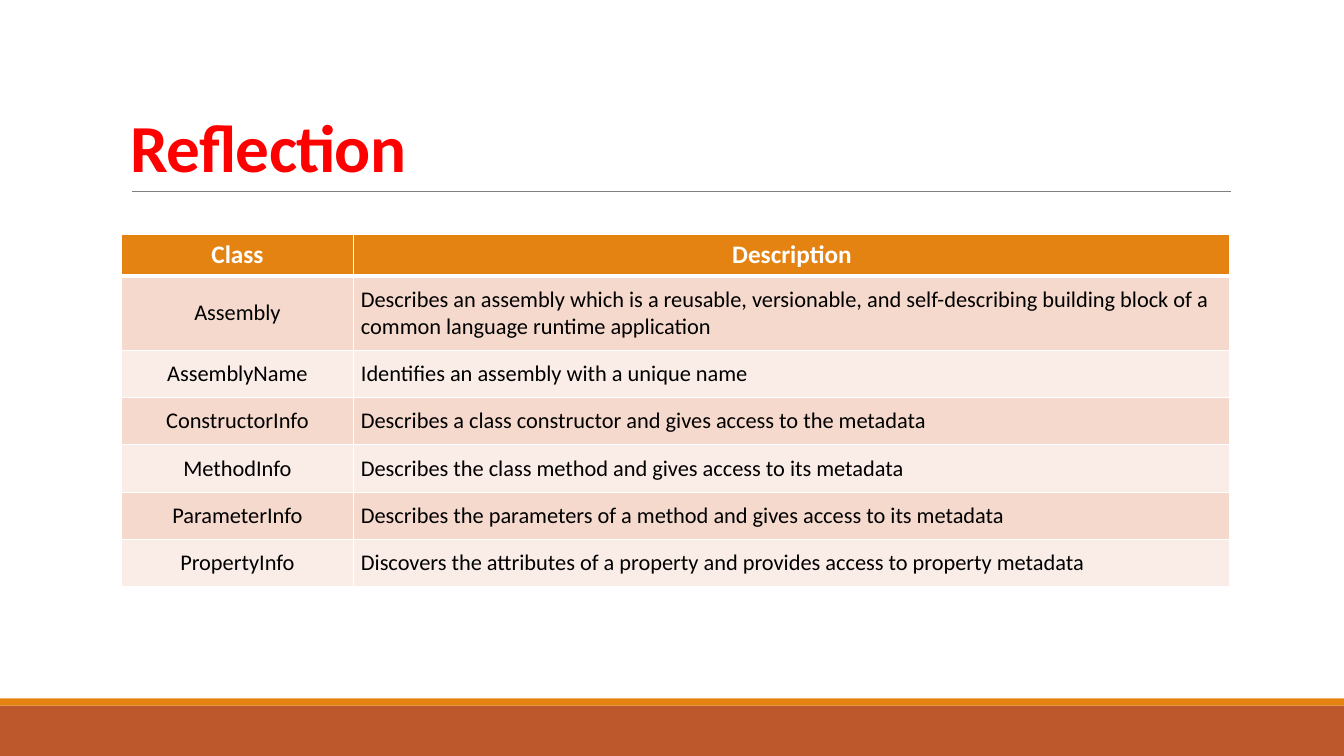
from lxml import etree
from pptx import Presentation
from pptx.dml.color import RGBColor
from pptx.enum.shapes import MSO_CONNECTOR as CONNECTOR, MSO_SHAPE as SHAPE
from pptx.enum.text import MSO_ANCHOR as ANCHOR, PP_ALIGN as ALIGN
from pptx.oxml.ns import qn
from pptx.util import Inches, Pt

FONT = "Calibri"
COLORS = {
    "rust": "BD582C", "orange": "E48312", "gray": "808080", "red": "FF0000",
    "white": "FFFFFF", "black": "000000", "band_dark": "F5D9CC", "band_light": "FAEDE7",
}
HEADER = ("Class", "Description")
CLASSES = [
    ("Assembly", "Describes an assembly which is a reusable, versionable, and "
                 "self-describing building block of a common language runtime application"),
    ("AssemblyName", "Identifies an assembly with a unique name"),
    ("ConstructorInfo", "Describes a class constructor and gives access to the metadata"),
    ("MethodInfo", "Describes the class method and gives access to its metadata"),
    ("ParameterInfo", "Describes the parameters of a method and gives access to its metadata"),
    ("PropertyInfo", "Discovers the attributes of a property and provides access to property metadata"),
]


def color(name):
    return RGBColor.from_string(COLORS[name])


def style_font(para, size, color_name, bold=False):
    font = para.font
    font.name, font.size, font.bold = FONT, Pt(size), bold
    font.color.rgb = color(color_name)


def add_band(page, top, height, color_name):
    band = page.shapes.add_shape(SHAPE.RECTANGLE, 0, Inches(top), Inches(13.33), Inches(height))
    band.shadow.inherit = False
    band.fill.solid()
    band.fill.fore_color.rgb = color(color_name)
    band.line.fill.background()


def add_rule(page, left, right, top):
    rule = page.shapes.add_connector(
        CONNECTOR.STRAIGHT, Inches(left), Inches(top), Inches(right), Inches(top))
    rule.line.color.rgb = color("gray")
    rule.line.width = Pt(0.5)
    etree.SubElement(rule._element.spPr, qn("a:effectLst"))


def add_title(page, text):
    box = page.shapes.add_textbox(Inches(1.2), Inches(0.31), Inches(11), Inches(1.59))
    frame = box.text_frame
    frame.word_wrap = True
    frame.vertical_anchor = ANCHOR.BOTTOM
    para = frame.paragraphs[0]
    para.line_spacing = 0.85
    style_font(para, 48, "red", bold=True)
    span = para.add_run()
    span.text = text
    span._r.get_or_add_rPr().set("spc", "-50")


def add_borders(cell, bottom_width):
    props = cell._tc.get_or_add_tcPr()
    for side, width in (("L", 1), ("R", 1), ("T", 1), ("B", bottom_width)):
        line = etree.SubElement(props, qn(f"a:ln{side}"), w=str(Pt(width)))
        fill = etree.SubElement(line, qn("a:solidFill"))
        etree.SubElement(fill, qn("a:srgbClr"), val=COLORS["white"])


def fill_cell(cell, text, fill_name, centered, is_header):
    add_borders(cell, 3 if is_header else 1)
    cell.fill.solid()
    cell.fill.fore_color.rgb = color(fill_name)
    cell.text = text
    para = cell.text_frame.paragraphs[0]
    para.alignment = ALIGN.CENTER if centered else ALIGN.LEFT
    if is_header:
        style_font(para, 18, "white", bold=True)
    else:
        style_font(para, 16, "black")
        cell.vertical_anchor = ANCHOR.MIDDLE
        cell.margin_left = cell.margin_right = Inches(0.07)
        cell.margin_top = cell.margin_bottom = Inches(0.1)


def add_class_table(page):
    rows = [HEADER] + CLASSES
    heights = [0.41, 0.73] + [0.47] * (len(rows) - 2)
    table = page.shapes.add_table(
        len(rows), 2, Inches(1.2), Inches(2.33), Inches(11), Inches(sum(heights))).table
    for column, width in zip(table.columns, (2.31, 8.69)):
        column.width = Inches(width)
    for r, (texts, height) in enumerate(zip(rows, heights)):
        table.rows[r].height = Inches(height)
        is_header = r == 0
        fill_name = "orange" if is_header else ("band_light", "band_dark")[r % 2]
        for c, text in enumerate(texts):
            fill_cell(table.cell(r, c), text, fill_name, is_header or c == 0, is_header)


def main():
    deck = Presentation()
    deck.slide_width, deck.slide_height = Inches(13.33), Inches(7.5)
    page = deck.slides.add_slide(deck.slide_layouts[6])

    # Footer bands and title rule
    add_band(page, 7, 0.5, "rust")
    add_band(page, 6.93, 0.07, "orange")
    add_rule(page, 1.31, 12.21, 1.9)

    # Title and table
    add_title(page, "Reflection")
    add_class_table(page)
    deck.save("out.pptx")


if __name__ == "__main__":
    main()
